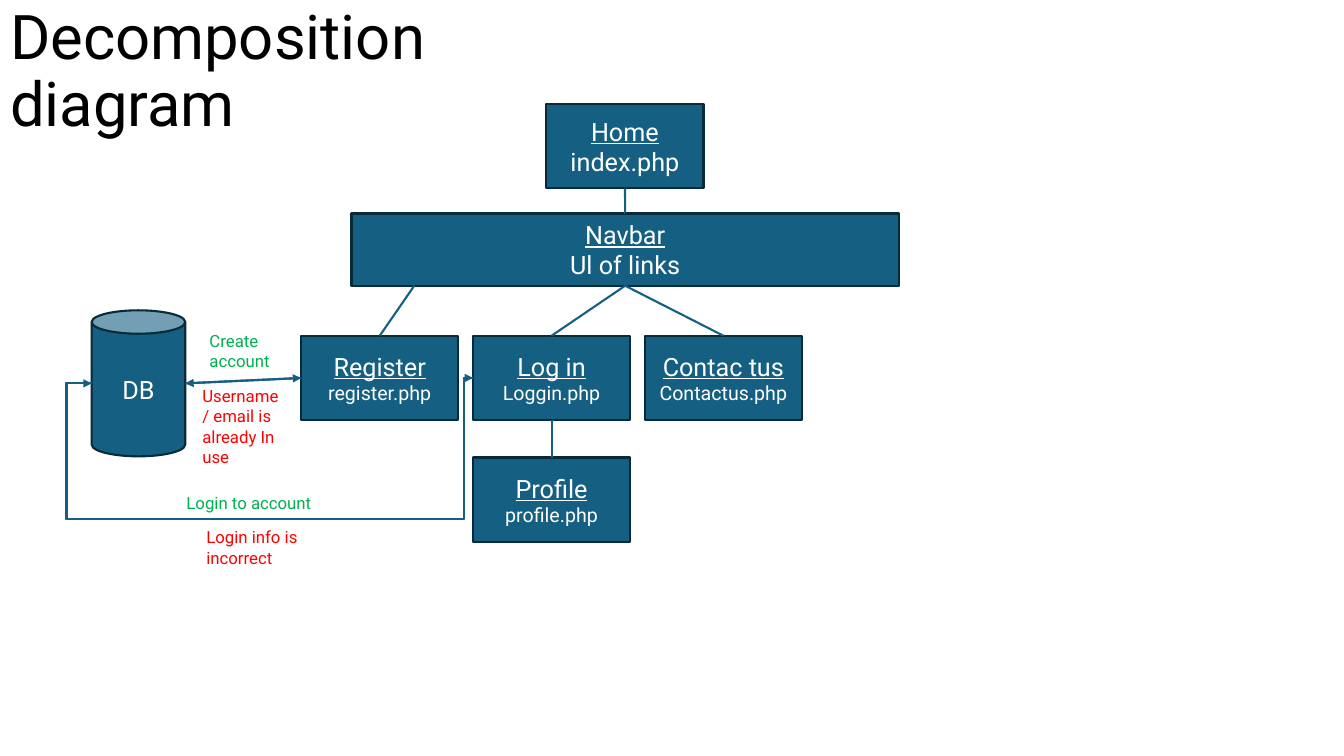
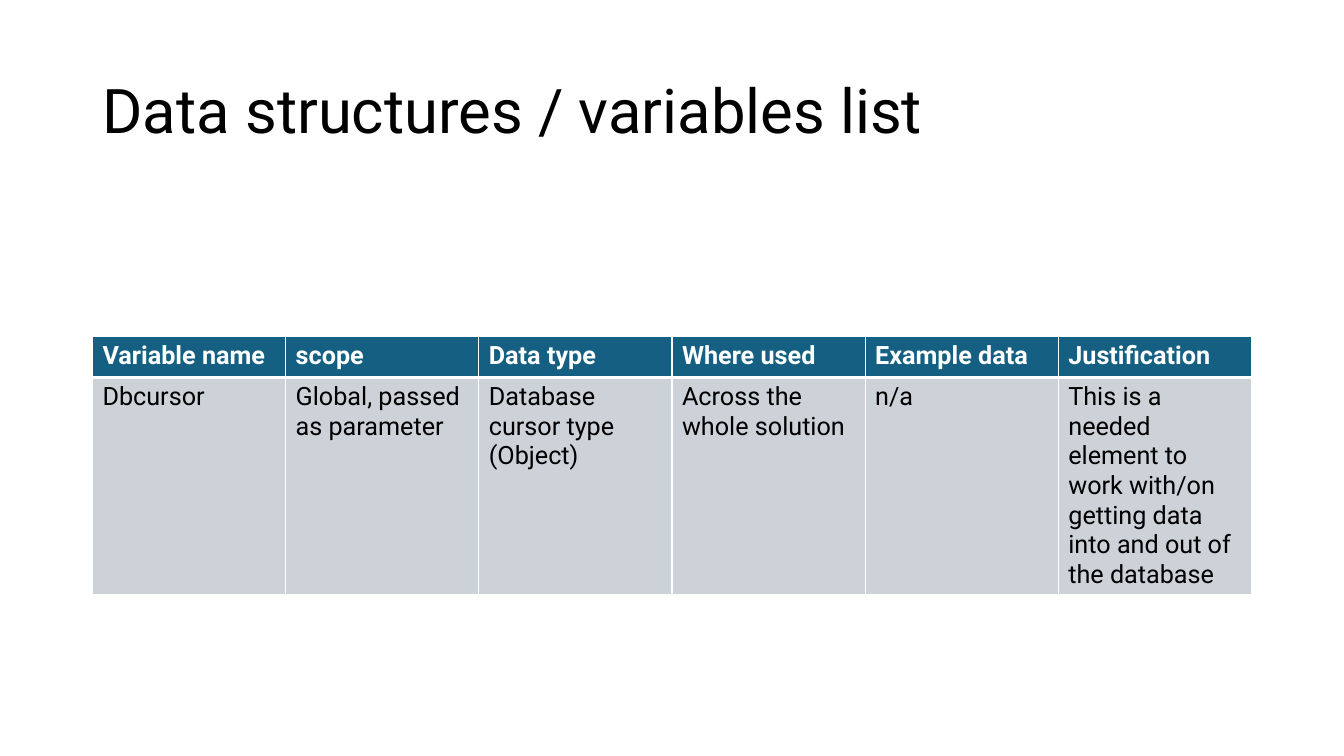
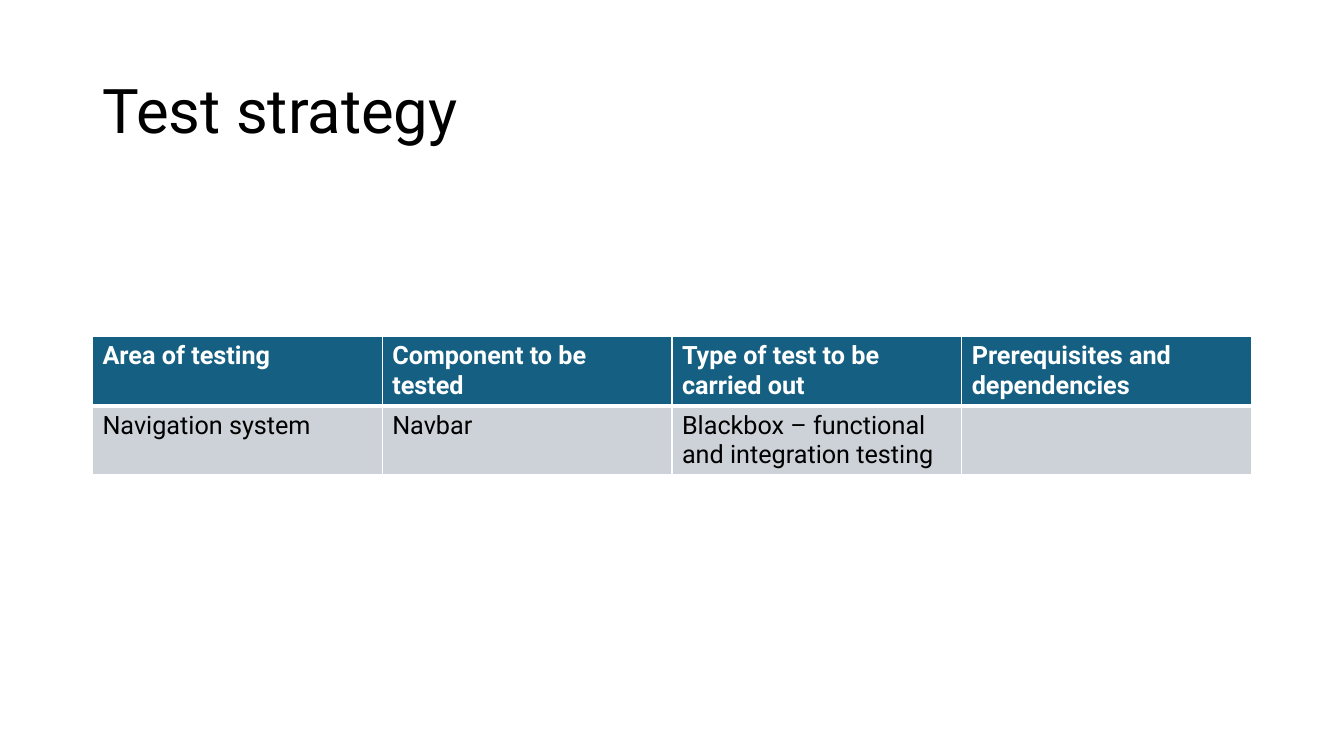
from lxml import etree
from pptx import Presentation
from pptx import util as u
from pptx.dml import color
from pptx.enum import shapes, text
from pptx.oxml import ns

FONT = "Roboto"
BLUE, EDGE, PALE = "156082", "092A39", "CCD2D8"
WHITE, BLACK, GREEN, RED = "FFFFFF", "000000", "00B050", "FF0000"
TOP, LEFT, BOTTOM, RIGHT = range(4)
CAN_SITES = {TOP: 1, LEFT: 2, BOTTOM: 3, RIGHT: 4}
TITLE_BOX = (2.33, 1.01, 29.21, 3.68)
TABLE_BOX = (2.33, 8.48, 29.21, 2.06)


def cm(*lengths):
    return [u.Cm(length) for length in lengths]


def rgb(value):
    return color.RGBColor.from_string(value)


def style(para, size, ink, bold=False, underline=False):
    for span in para.runs:
        font = span.font
        font.name, font.size, font.bold = FONT, u.Pt(size), bold
        font.underline = underline
        font.color.rgb = rgb(ink)


def add_page(deck, title, box=TITLE_BOX):
    page = deck.slides.add_slide(deck.slide_layouts[5])
    holder = page.shapes.title
    holder.left, holder.top, holder.width, holder.height = cm(*box)
    frame = holder.text_frame
    frame.text = title
    frame.auto_size = text.MSO_AUTO_SIZE.NONE
    frame.vertical_anchor = text.MSO_ANCHOR.MIDDLE
    para = frame.paragraphs[0]
    para.alignment = text.PP_ALIGN.LEFT
    para.line_spacing = 0.9
    style(para, 44, BLACK)
    return page


def add_node(page, box, heading, detail="", detail_size=14, kind=shapes.MSO_SHAPE.RECTANGLE):
    node = page.shapes.add_shape(kind, *cm(*box))
    node.shadow.inherit = False
    node.fill.solid()
    node.fill.fore_color.rgb = rgb(BLUE)
    node.line.color.rgb = rgb(EDGE)
    node.line.width = u.Pt(1.5)
    frame = node.text_frame
    frame.vertical_anchor = text.MSO_ANCHOR.MIDDLE
    frame.text = heading
    style(frame.paragraphs[0], 18, WHITE, underline=bool(detail))
    if detail:
        para = frame.add_paragraph()
        para.text = detail
        style(para, detail_size, WHITE)
    for para in frame.paragraphs:
        para.alignment = text.PP_ALIGN.CENTER
    return node


def add_label(page, box, wording, ink):
    label = page.shapes.add_textbox(*cm(*box))
    label.text_frame.word_wrap = True
    label.text_frame.text = wording
    style(label.text_frame.paragraphs[0], 12, ink)


def is_point(end):
    return isinstance(end[0], int)


def spot(end):
    if is_point(end):
        return end
    node, side = end
    across = {LEFT: 0, RIGHT: node.width}.get(side, node.width // 2)
    down = {TOP: 0, BOTTOM: node.height}.get(side, node.height // 2)
    return node.left + across, node.top + down


def join(line, end, first):
    if is_point(end):
        return
    node, side = end
    if node.auto_shape_type == shapes.MSO_SHAPE.CAN:
        holder = line._element.xpath(".//p:cNvCxnSpPr")[0]
        mark = etree.SubElement(holder, ns.qn("a:stCxn" if first else "a:endCxn"))
        mark.set("id", str(node.shape_id))
        mark.set("idx", str(CAN_SITES[side]))
        if first:
            holder.insert(0, mark)
    elif first:
        line.begin_connect(node, side)
    else:
        line.end_connect(node, side)


def add_link(page, begin, end, arrow=False, kind=shapes.MSO_CONNECTOR.STRAIGHT):
    line = page.shapes.add_connector(kind, *spot(begin), *spot(end))
    join(line, begin, True)
    join(line, end, False)
    line.line.color.rgb = rgb(BLUE)
    line.line.width = u.Pt(1.5)
    outline = line._element.xpath("./p:spPr/a:ln")[0]
    if arrow:
        etree.SubElement(outline, ns.qn("a:tailEnd")).set("type", "triangle")
    etree.SubElement(outline.getparent(), ns.qn("a:effectLst"))
    return line


def add_detour(page, begin, end, first_x, low_y, last_x):
    line = add_link(page, begin, end, True, shapes.MSO_CONNECTOR.ELBOW)
    wide = line.end_x - line.begin_x
    tall = line.end_y - line.begin_y
    ratios = ((u.Cm(first_x) - line.begin_x) / wide,
              (u.Cm(low_y) - line.begin_y) / tall,
              (u.Cm(last_x) - line.begin_x) / wide)
    shape = line._element.xpath("./p:spPr/a:prstGeom")[0]
    shape.set("prst", "bentConnector5")
    guides = shape.find(ns.qn("a:avLst"))
    for number, ratio in enumerate(ratios, 1):
        guide = etree.SubElement(guides, ns.qn("a:gd"))
        guide.set("name", f"adj{number}")
        guide.set("fmla", f"val {round(ratio * 100000)}")


def add_site_map(page, left, top):
    width, height, step = 3.96, 2.13, 4.33
    row = top + 5.84

    def node(across, down, *words):
        return add_node(page, (left + across, down, width, height), *words)

    home = node(6.18, top, "Home", "index.php", 18)
    navbar = add_node(page, (left + 1.27, top + 2.76, 13.79, 1.82), "Navbar", "Ul of links", 18)
    register, login, contact = [
        node(index * step, row, *words) for index, words in enumerate((
            ("Register", "register.php"),
            ("Log in", "Loggin.php"),
            ("Contac tus", "Contactus.php")))]
    profile = node(step, row + 3.07, "Profile", "profile.php")

    add_link(page, cm(left + 2.85, top + 4.58), (register, TOP))
    for upper, lower in ((navbar, login), (navbar, contact), (login, profile), (home, navbar)):
        add_link(page, (upper, BOTTOM), (lower, TOP))
    return register, login


def add_database(page, left, top, register, login):
    database = add_node(page, (left, top, 2.36, 3.68), "DB", kind=shapes.MSO_SHAPE.CAN)
    ends = (register, LEFT), (database, RIGHT)
    add_link(page, *ends, arrow=True)
    add_link(page, *reversed(ends), arrow=True)

    near, far, low = left - 0.63, left + 9.38, top + 5.25
    add_detour(page, (login, LEFT), (database, LEFT), far, low, near)
    add_detour(page, (database, LEFT), (login, LEFT), near, low, far)

    for across, down, width, height, wording, ink in (
            (2.72, 0.38, 2.21, 1.27, "Create account", GREEN),
            (2.54, 1.78, 2.57, 2.31, "Username/ email is already In use", RED),
            (2.14, 4.47, 3.75, 0.76, "Login to account", GREEN),
            (2.64, 5.34, 3.18, 1.27, "Login info is incorrect", RED)):
        add_label(page, (left + across, top + down, width, height), wording, ink)


def set_borders(cell, **widths):
    holder = cell._tc.get_or_add_tcPr()
    for side in "LRTB":
        edge = etree.SubElement(holder, ns.qn(f"a:ln{side}"))
        edge.set("w", str(u.Pt(widths.get(side, 1))))
        fill = etree.SubElement(edge, ns.qn("a:solidFill"))
        etree.SubElement(fill, ns.qn("a:srgbClr")).set("val", WHITE)


def add_grid(page, box, rows):
    table = page.shapes.add_table(len(rows), len(rows[0]), *cm(*box)).table
    for row, words in enumerate(rows):
        header = row == 0
        for column, wording in enumerate(words):
            cell = table.cell(row, column)
            set_borders(cell, **({"B": 3} if header else {"T": 3}))
            cell.fill.solid()
            cell.fill.fore_color.rgb = rgb(BLUE if header else PALE)
            cell.text_frame.text = wording
            style(cell.text_frame.paragraphs[0], 18, WHITE if header else BLACK, bold=header)


def main():
    deck = Presentation()
    deck.slide_width, deck.slide_height = cm(33.87, 19.05)

    page = add_page(deck, "Decomposition diagram", (0, 0, 15.75, 3.68))
    register, login = add_site_map(page, 7.59, 2.62)
    add_database(page, 2.31, 7.82, register, login)

    add_grid(add_page(deck, "Data structures / variables list"), TABLE_BOX, (
        ("Variable name", "scope", "Data type", "Where used", "Example data", "Justification"),
        ("Dbcursor", "Global, passed as parameter", "Database cursor type (Object)",
         "Across the whole solution", "n/a",
         "This is a needed element to work with/on getting data into and out of the database")))

    add_grid(add_page(deck, "Test strategy"), TABLE_BOX, (
        ("Area of testing", "Component to be tested", "Type of test to be carried out",
         "Prerequisites and dependencies"),
        ("Navigation system", "Navbar", "Blackbox – functional and integration testing", "")))

    deck.save("out.pptx")


if __name__ == "__main__":
    main()
